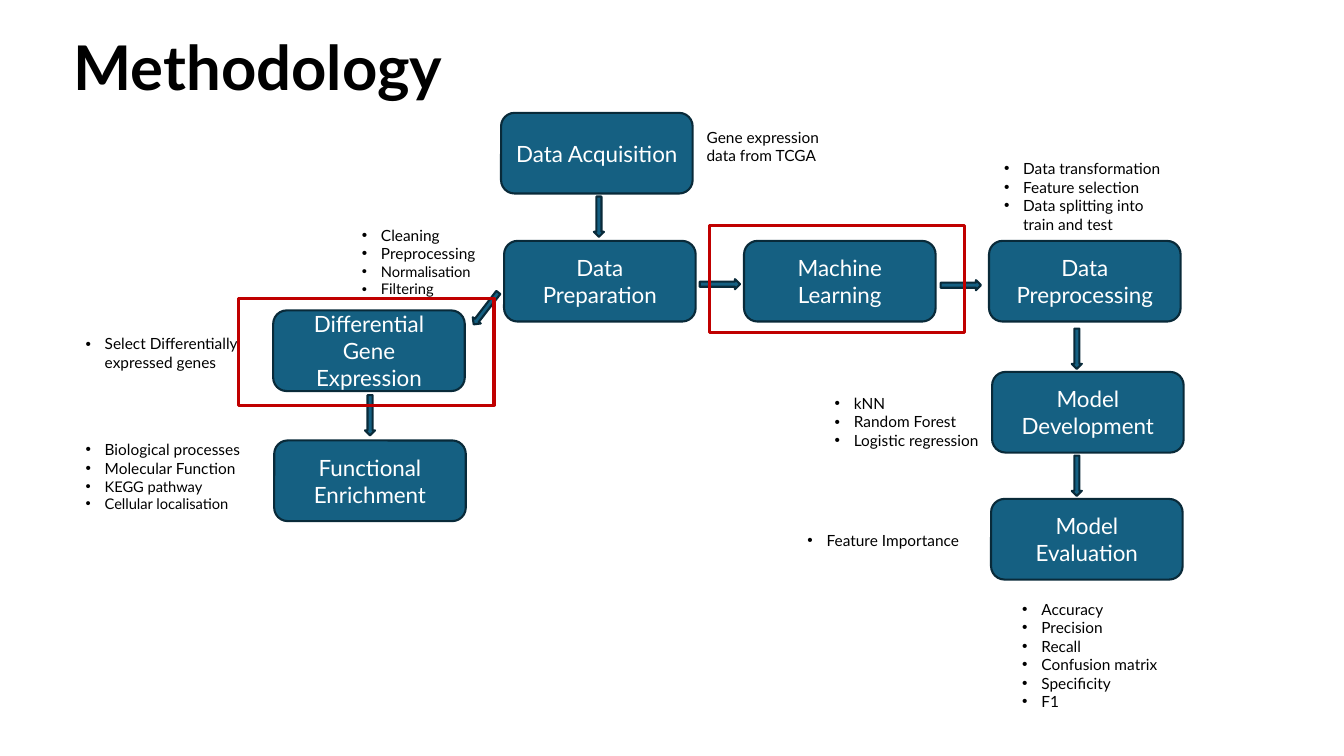
from dataclasses import dataclass

from lxml.etree import SubElement
from pptx import Presentation
from pptx.dml.color import RGBColor
from pptx.enum.shapes import MSO_SHAPE
from pptx.enum.text import MSO_ANCHOR, PP_ALIGN
from pptx.oxml.ns import qn
from pptx.util import Inches, Pt


@dataclass(frozen=True)
class Theme:
    font: str = "Lato"
    step_fill: RGBColor = RGBColor(0x15, 0x60, 0x82)
    step_line: RGBColor = RGBColor(0x09, 0x2A, 0x39)
    frame_line: RGBColor = RGBColor(0xC0, 0x00, 0x00)
    dark: RGBColor = RGBColor(0x00, 0x00, 0x00)
    light: RGBColor = RGBColor(0xFF, 0xFF, 0xFF)
    title_size: float = 44
    step_size: float = 16
    note_size: float = 11
    small_size: float = 10.5
    step_weight: float = 1.5
    frame_weight: float = 2.25


THEME = Theme()

TITLE = "Methodology"
STEP_SIZE = (1.9, 0.8)
ARROW_SIZE = (0.4, 0.1)
FRAME_SIZE = (2.53, 1.06)
BULLET_INDENT = 0.19

STEPS = [
    ("Data Acquisition", 4.97, 1.12),
    ("Data Preparation", 5, 2.39),
    ("Differential Gene Expression", 2.71, 3.08),
    ("Functional Enrichment", 2.72, 4.37),
    ("Machine Learning", 7.38, 2.39),
    ("Data Preprocessing", 9.81, 2.39),
    ("Model Development", 9.84, 3.69),
    ("Model Evaluation", 9.83, 4.95),
]

ARROWS = [
    (5.74, 2.1, 90),
    (4.62, 3.01, 127.6),
    (3.47, 4.07, 90),
    (6.94, 2.77, 0),
    (9.33, 2.78, 0),
    (10.48, 3.41, 90),
    (10.48, 4.67, 90),
]

SOURCE_NOTE = ("Gene expression data from TCGA", (6.91, 1.22, 1.56, 0.47))

BULLET_NOTES = [
    (["Cleaning", "Preprocessing"], ["Normalisation", "Filtering"], (3.49, 2.19, 1.52, 0.84)),
    (["Select Differentially expressed genes"], [], (0.75, 3.27, 1.78, 0.47)),
    (
        ["Biological processes", "Molecular Function"],
        ["KEGG pathway", "Cellular localisation"],
        (0.75, 4.32, 1.9, 0.82),
    ),
    (
        ["Data transformation", "Feature selection", "Data splitting into train and test"],
        [],
        (9.86, 1.53, 1.9, 0.84),
    ),
    (["kNN", "Random Forest", "Logistic regression"], [], (8.18, 3.86, 1.7, 0.66)),
    (["Feature Importance"], [], (7.91, 5.22, 1.9, 0.29)),
    (
        ["Accuracy", "Precision", "Recall", "Confusion matrix", "Specificity", "F1"],
        [],
        (10.04, 5.9, 1.9, 1.21),
    ),
]

FRAMES = [(2.37, 2.96), (7.04, 2.24)]


def inches(values):
    return [Inches(value) for value in values]


def style_text(para, size, color, align=PP_ALIGN.LEFT, bold=False):
    para.alignment = align
    for span in para.runs:
        span.font.name = THEME.font
        span.font.size = Pt(size)
        span.font.bold = bold
        span.font.color.rgb = color


def add_bullet(para):
    properties = para._p.get_or_add_pPr()
    properties.set("marL", str(Inches(BULLET_INDENT)))
    properties.set("indent", str(-Inches(BULLET_INDENT)))
    SubElement(properties, qn("a:buFont")).set("typeface", "Arial")
    SubElement(properties, qn("a:buChar")).set("char", "•")


def add_title(page):
    title = page.shapes.title
    title.left, title.top, title.width, title.height = inches((0.63, 0.28, 11.5, 0.84))
    title.text_frame.text = TITLE
    title.text_frame.vertical_anchor = MSO_ANCHOR.MIDDLE
    para = title.text_frame.paragraphs[0]
    para.line_spacing = 0.9
    style_text(para, THEME.title_size, THEME.dark, bold=True)


def add_block(page, preset, left, top, size):
    block = page.shapes.add_shape(preset, *inches((left, top, *size)))
    block.shadow.inherit = False
    block.fill.solid()
    block.fill.fore_color.rgb = THEME.step_fill
    block.line.color.rgb = THEME.step_line
    block.line.width = Pt(THEME.step_weight)
    return block


def add_step(page, label, left, top):
    step = add_block(page, MSO_SHAPE.ROUNDED_RECTANGLE, left, top, STEP_SIZE)
    step.text_frame.text = label
    step.text_frame.word_wrap = True
    step.text_frame.vertical_anchor = MSO_ANCHOR.MIDDLE
    style_text(step.text_frame.paragraphs[0], THEME.step_size, THEME.light, PP_ALIGN.CENTER)


def add_arrow(page, left, top, angle):
    arrow = add_block(page, MSO_SHAPE.RIGHT_ARROW, left, top, ARROW_SIZE)
    arrow.rotation = angle


def add_note(page, items, place, bulleted):
    box = page.shapes.add_textbox(*inches(place))
    box.text_frame.word_wrap = True
    box.text_frame.text = "\n".join(text for text, size in items)
    for para, (text, size) in zip(box.text_frame.paragraphs, items):
        style_text(para, size, THEME.dark)
        if bulleted:
            add_bullet(para)


def add_frame(page, left, top):
    frame = page.shapes.add_shape(MSO_SHAPE.RECTANGLE, *inches((left, top, *FRAME_SIZE)))
    frame.shadow.inherit = False
    frame.fill.background()
    frame.line.color.rgb = THEME.frame_line
    frame.line.width = Pt(THEME.frame_weight)


def main():
    deck = Presentation()
    deck.slide_width, deck.slide_height = inches((13.33, 7.5))
    page = deck.slides.add_slide(deck.slide_layouts[5])
    add_title(page)
    for step in STEPS:
        add_step(page, *step)
    for arrow in ARROWS:
        add_arrow(page, *arrow)
    source_text, source_place = SOURCE_NOTE
    add_note(page, [(source_text, THEME.note_size)], source_place, bulleted=False)
    for regular, small, place in BULLET_NOTES:
        items = [(text, THEME.note_size) for text in regular]
        items += [(text, THEME.small_size) for text in small]
        add_note(page, items, place, bulleted=True)
    for frame in FRAMES:
        add_frame(page, *frame)
    deck.save("out.pptx")


if __name__ == "__main__":
    main()
